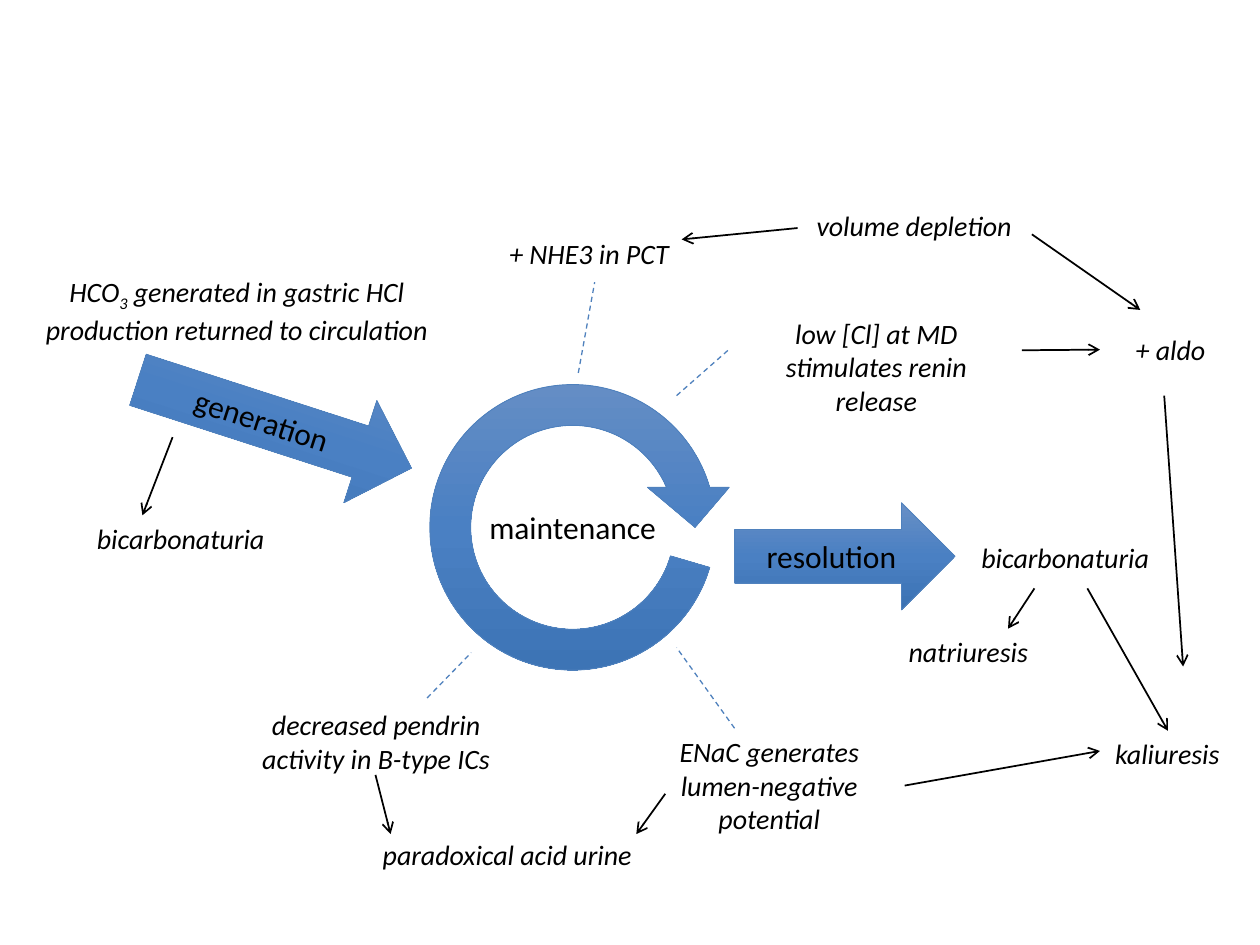
import copy
import pptx
import pptx.dml.color
import pptx.enum.dml
import pptx.enum.shapes
import pptx.enum.text
import pptx.oxml
import pptx.oxml.ns
import pptx.util

INK = {"text": "000000", "edge": "4F81BD", "top": "688FC5", "mid": "4A80C3", "low": "3B72B3"}
KIND = pptx.enum.shapes.MSO_SHAPE
SIDE = {"left": 1, "right": 3}
COLS, ROWS = 100, 75
WIDE, HIGH = pptx.util.Inches(10), pptx.util.Inches(7.5)
COL, ROW = WIDE / COLS, HIGH / ROWS


def tint(name):
    """Return the named colour."""
    return pptx.dml.color.RGBColor.from_string(INK[name])


def spot(box, x, y):
    """Turn columns and rows from the box corner into slide lengths."""
    return round((box[0] + x) * COL), round((box[1] + y) * ROW)


def write(frame, *parts, size=16, slant=True, align="CENTER", sub=None):
    """Write the parts as one paragraph, with the part numbered sub as a subscript."""
    frame.word_wrap = True
    line = frame.paragraphs[0]
    line.alignment = getattr(pptx.enum.text.PP_ALIGN, align)
    for i, part in enumerate(parts):
        run = line.add_run()
        run.text = part
        run.font.name = "Calibri"
        run.font.size = pptx.util.Pt(size)
        run.font.italic = slant
        run.font.color.rgb = tint("text")
        if i == sub:
            run.font._element.set("baseline", "-25000")


def label(slide, box, x, y, *parts, w=23.1, h=3.7, **form):
    """Add a text box and return it."""
    note = slide.shapes.add_textbox(*spot(box, x, y), round(w * COL), round(h * ROW))
    write(note.text_frame, *parts, **form)
    return note


def block(slide, box, x, y, w, h, kind, text, turn=0, bend=()):
    """Add a shaded stage shape with its name inside."""
    form = slide.shapes.add_shape(kind, *spot(box, x, y), round(w * COL), round(h * ROW))
    form.rotation = turn
    form.shadow.inherit = False
    for i, part in enumerate(bend):
        form.adjustments[i] = part
    form.fill.gradient()
    form.fill.gradient_angle = 270
    stops = form._element.spPr.find(".//" + pptx.oxml.ns.qn("a:gsLst"))
    stops.append(copy.deepcopy(stops[0]))
    for stop, name, place in zip(form.fill.gradient_stops, ("top", "mid", "low"), (0, 0.5, 1)):
        stop.color.rgb = tint(name)
        stop.position = place
    form.line.color.rgb = tint("edge")
    form.line.width = pptx.util.Pt(0.5)
    form.text_frame.vertical_anchor = pptx.enum.text.MSO_ANCHOR.MIDDLE
    write(form.text_frame, text, size=18, slant=False)


def link(slide, box, start, end, dash=False):
    """Add a dashed line or a black arrow and return it."""
    line = slide.shapes.add_connector(
        pptx.enum.shapes.MSO_CONNECTOR.STRAIGHT, *spot(box, *start), *spot(box, *end))
    line.line.color.rgb = tint("edge" if dash else "text")
    line.line.width = pptx.util.Pt(0.75 if dash else 1)
    if dash:
        line.line.dash_style = pptx.enum.dml.MSO_LINE.DASH
    else:
        tip = pptx.oxml.parse_xml(f'<a:tailEnd {pptx.oxml.ns.nsdecls("a")} type="arrow"/>')
        line.line._get_or_add_ln().append(tip)
    line._element.spPr.append(
        pptx.oxml.parse_xml(f'<a:effectLst {pptx.oxml.ns.nsdecls("a")}/>'))
    return line


def onset(slide, box):
    """Place the generation stage."""
    block(slide, box, 8.9, 8.1, 22.8, 8.5, KIND.RIGHT_ARROW, "generation", turn=17.9)
    label(slide, box, 0, 0, "HCO", "3", " generated in gastric HCl production returned to circulation",
          w=34.6, h=6.4, sub=1)
    label(slide, box, 5.2, 19.6, "bicarbonaturia", align="LEFT")
    link(slide, box, (12.2, 13.4), (9.8, 19.6))


def ring(slide, box):
    """Place the maintenance ring and its spokes."""
    block(slide, box, 0, 10.6, 25.9, 25.9, KIND.CIRCULAR_ARROW, "maintenance",
          bend=(0.125, 11.423, 204.577, 9.793, 0.125))
    label(slide, box, 2.7, 0, "+ NHE3 in PCT")
    for start, end in (((13.4, 11.3), (14.7, 4.1)), ((1.4, 37.1), (4.9, 33.5)),
                       ((21.2, 13.1), (25.4, 9.4)), ((25.8, 39.5), (21.2, 33.1))):
        link(slide, box, start, end, dash=True)


def renin(slide, box):
    """Place the volume, renin and aldo chain."""
    label(slide, box, 7, 0, "volume depletion")
    low = label(slide, box, 4, 8.5, "low [Cl] at MD stimulates renin release", h=6.4)
    aldo = label(slide, box, 33.3, 9.8, "+ aldo", w=11.2)
    join = link(slide, box, (27.1, 11.7), (33.3, 11.7))
    join.begin_connect(low, SIDE["right"])
    join.end_connect(aldo, SIDE["left"])
    for start, end in (((9.3, 2), (0.1, 2.9)), ((27.9, 2.5), (36.5, 8.5)),
                       ((38.4, 15.3), (39.9, 36.8))):
        link(slide, box, start, end)


def close(slide, box):
    """Place the resolution stage and its results."""
    block(slide, box, 0, 0, 17.5, 8.5, KIND.RIGHT_ARROW, "resolution")
    label(slide, box, 18.6, 2.5, "bicarbonaturia", align="LEFT")
    label(slide, box, 7, 10, "natriuresis")
    label(slide, box, 22.8, 18.1, "kaliuresis")
    link(slide, box, (23.8, 6.8), (21.7, 10))
    link(slide, box, (28, 6.8), (34.4, 18.1))


def urine(slide, box):
    """Place the tubule causes of acid urine."""
    label(slide, box, 0, 0, "decreased pendrin activity in B-type ICs", h=6.4)
    label(slide, box, 10.4, 10.3, "paradoxical acid urine")
    enac = label(slide, box, 32, 2.1, "ENaC generates lumen-negative potential", w=21.5, h=9.1)
    link(slide, box, (53.5, 6.6), (69, 3.9)).begin_connect(enac, SIDE["right"])
    link(slide, box, (34.5, 7.3), (32.2, 10.5))
    link(slide, box, (11.5, 5.8), (12.7, 10.5))


def main():
    """Build and save the slide."""
    deck = pptx.Presentation()
    deck.slide_width, deck.slide_height = WIDE, HIGH
    slide = deck.slides.add_slide(deck.slide_layouts[6])
    onset(slide, (1.5, 21.3))
    ring(slide, (32.5, 18.3))
    renin(slide, (54, 16.1))
    close(slide, (58.3, 39.9))
    urine(slide, (18.3, 55.7))
    deck.save("out.pptx")


if __name__ == "__main__":
    main()
